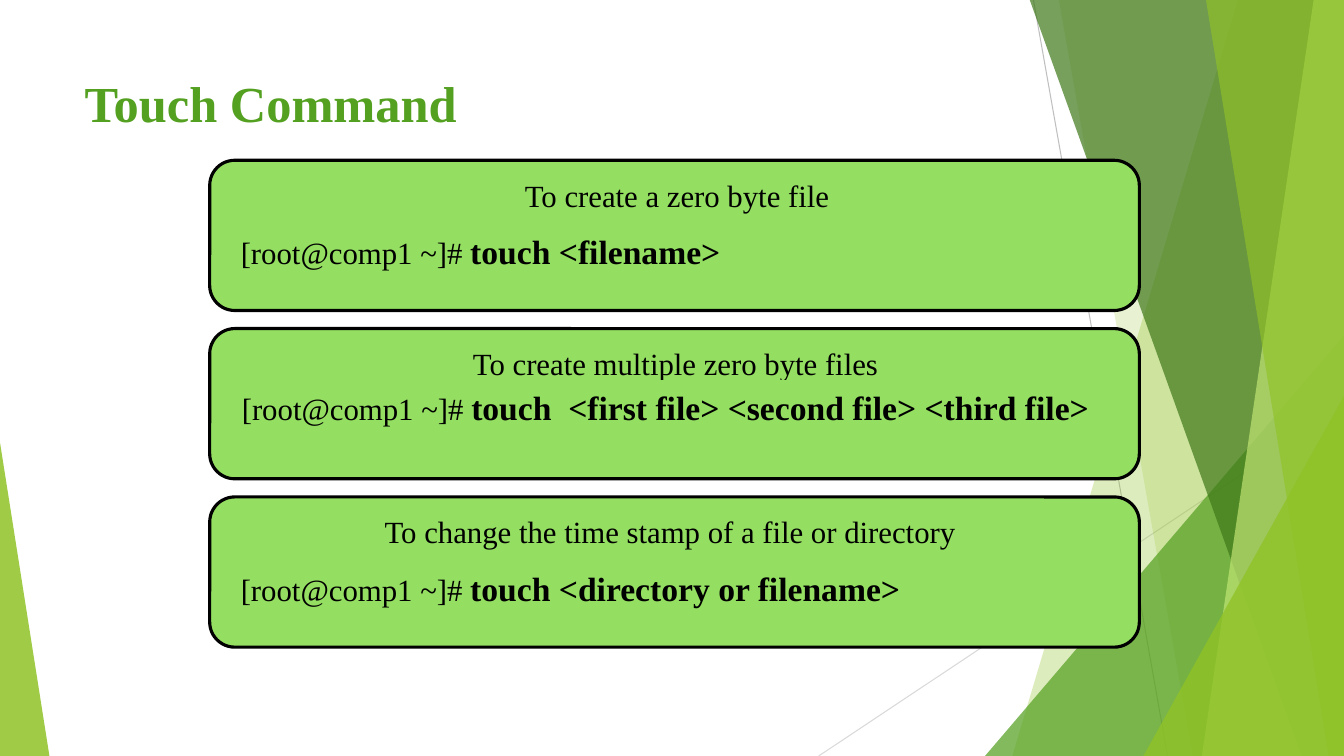
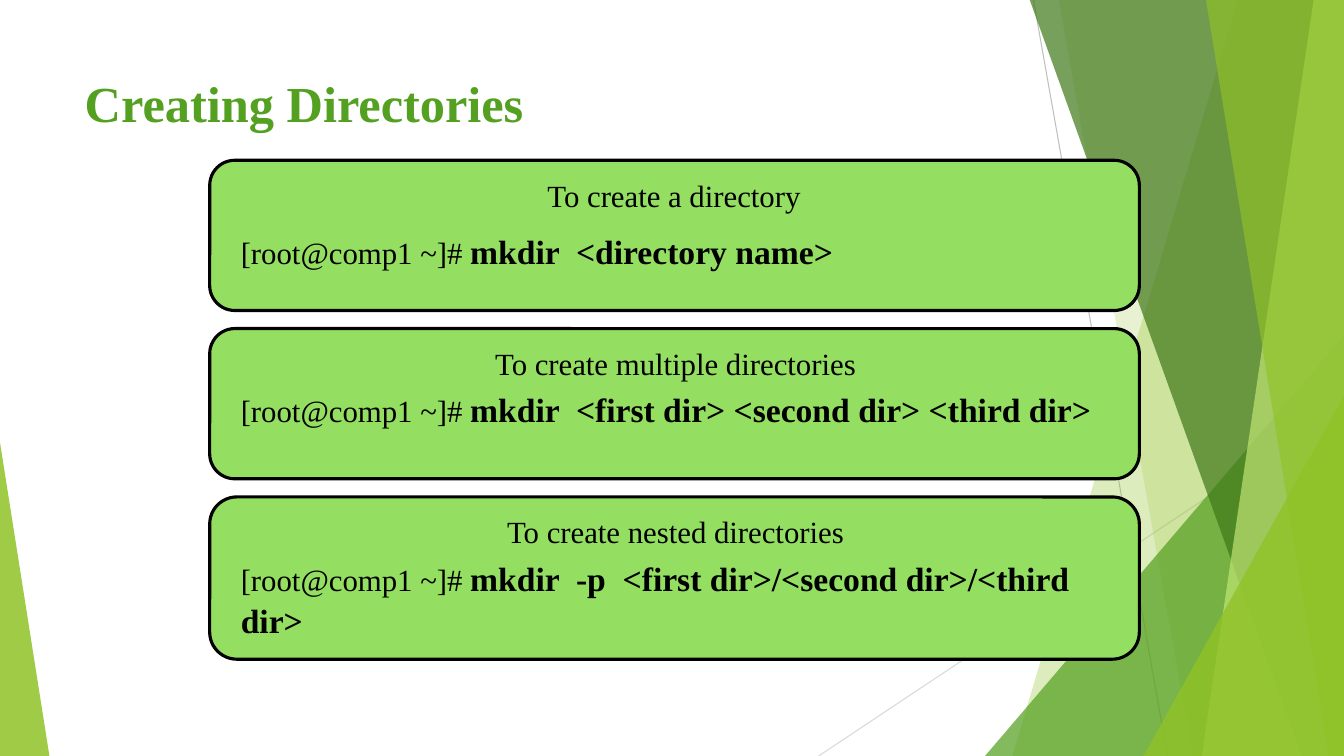
from lxml.etree import SubElement
from pptx import Presentation
from pptx.dml.color import RGBColor as Rgb
from pptx.enum.shapes import MSO_CONNECTOR as Link, MSO_SHAPE as Kind
from pptx.enum.text import MSO_ANCHOR as Anchor, MSO_AUTO_SIZE as Fit, PP_ALIGN as Align
from pptx.oxml.ns import qn
from pptx.util import Pt

SCALE = 9144
WIDE, HIGH = 1333, 750
FONT = "Times New Roman"
BLACK, GREEN, LIME, CARD = "000000", "54A021", "90C226", "94DE61"
PROMPT = "[root@comp1 ~]# "

LINES = [
    ((1025, 0, 1158, 750), "BFBFBF"),
    ((1333, 403, 812, 750), "D9D9D9"),
]
ART = [
    ("band", (1228, 1004), LIME, 30),
    ("band", (1050, 1183), LIME, 20),
    ("wedge", (977, 333, 356, 417, 1), GREEN, 72),
    ("band", (1021, 1291), "3F7819", 70),
    ("band", (1303, 1192), "C0E474", 70),
    ("band", (1196, 1318), LIME, 65),
    ("wedge", (1134, 393, 199, 357, 1), LIME, 80),
    ("wedge", (0, 439, 49, 311, 0), LIME, 85),
]

TOP, PITCH, TALL = 159, 167, 149
SLIDES = [
    ("Touch Command", [
        dict(head="To create a zero byte file", span=(225, 893),
             code="touch <filename>", drop=63),
        dict(head="To create multiple zero byte files", span=(228, 884),
             code="touch  <first file> <second file> <third file>", drop=51, row=(230, 881)),
        dict(head="To change the time stamp of a file or directory", span=(219, 891),
             code="touch <directory or filename>", drop=64),
    ]),
    ("Creating Directories", [
        dict(head="To create a directory", span=(232, 873),
             code="mkdir  <directory name>", drop=63),
        dict(head="To create multiple directories", span=(228, 884),
             code="mkdir  <first dir> <second dir> <third dir>", drop=53),
        dict(head="To create nested directories", span=(231, 878),
             code="mkdir  -p  <first dir>/<second dir>/<third dir>", drop=54, tall=161, deep=94),
    ]),
]


def px(*nums):
    return [round(n * SCALE) for n in nums]


def tint(hue):
    return Rgb.from_string(hue)


def paint(shape, hue, alpha=100, edge=None):
    shape.shadow.inherit = False
    shape.fill.solid()
    shape.fill.fore_color.rgb = tint(hue)
    if alpha < 100:
        clr = shape.element.spPr.find(qn("a:solidFill"))[0]
        SubElement(clr, qn("a:alpha")).set("val", str(alpha * 1000))
    if edge:
        shape.line.color.rgb = tint(edge)
        shape.line.width = Pt(2.25)
    else:
        shape.line.fill.background()
    return shape


def write(shape, *runs, hue=BLACK, align=Align.LEFT, lead=None):
    frame = shape.text_frame
    frame.word_wrap = True
    frame.auto_size = Fit.NONE
    frame.vertical_anchor = Anchor.TOP
    para = frame.paragraphs[0]
    para.alignment = align
    if lead:
        para.line_spacing = Pt(lead)
    for text, size, bold in runs:
        run = para.add_run()
        run.text = text
        font = run.font
        font.name, font.size, font.bold = FONT, Pt(size), bold
        font.color.rgb = tint(hue)


def draw_art(shapes):
    for ends, hue in LINES:
        line = shapes.add_connector(Link.STRAIGHT, *px(*ends))
        line.line.color.rgb = tint(hue)
        line.line.width = Pt(0.75)
        SubElement(line.element.spPr, qn("a:effectLst"))
        yield line
    for kind, place, hue, alpha in ART:
        if kind == "band":
            top, foot = place
            pen = shapes.build_freeform(top, -1, SCALE)
            pen.add_line_segments([(WIDE, -1), (WIDE, HIGH), (foot, HIGH)])
            shape = pen.convert_to_shape()
        else:
            *box, tip = place
            shape = shapes.add_shape(Kind.ISOSCELES_TRIANGLE, *px(*box))
            shape.adjustments[0] = tip
        yield paint(shape, hue, alpha)


def share_art(slide):
    tree = slide.slide_layout.shapes.element
    for num, shape in enumerate(list(draw_art(slide.shapes)), 100):
        shape.element.xpath(".//p:cNvPr")[0].set("id", str(num))
        tree.append(shape.element)


def add_card(slide, top, head, span, code, drop, row=(229, 884), tall=TALL, deep=52):
    group = slide.shapes.add_group_shape().shapes
    frame = group.add_shape(Kind.ROUNDED_RECTANGLE, *px(208, top, 922, tall))
    paint(frame, CARD, edge=BLACK)
    left, wide = span
    label = group.add_shape(Kind.RECTANGLE, *px(left, top + 11, wide, 47))
    write(paint(label, CARD), (head, 22, False), align=Align.CENTER)
    left, wide = row
    shell = group.add_shape(Kind.RECTANGLE, *px(left, top + drop, wide, deep))
    write(paint(shell, CARD), (PROMPT, 22, False), (code, 24, True), lead=30)


def main():
    deck = Presentation()
    deck.slide_width, deck.slide_height = px(WIDE, HIGH)
    plain = deck.slide_layouts[5]
    for num, (name, cards) in enumerate(SLIDES):
        slide = deck.slides.add_slide(plain)
        if num == 0:
            share_art(slide)
        title = slide.shapes.title
        title.left, title.top, title.width, title.height = px(74, 67, 940, 144)
        write(title, (name, 36, True), hue=GREEN)
        for row, card in enumerate(cards):
            add_card(slide, TOP + row * PITCH, **card)
    deck.save("out.pptx")


if __name__ == "__main__":
    main()
